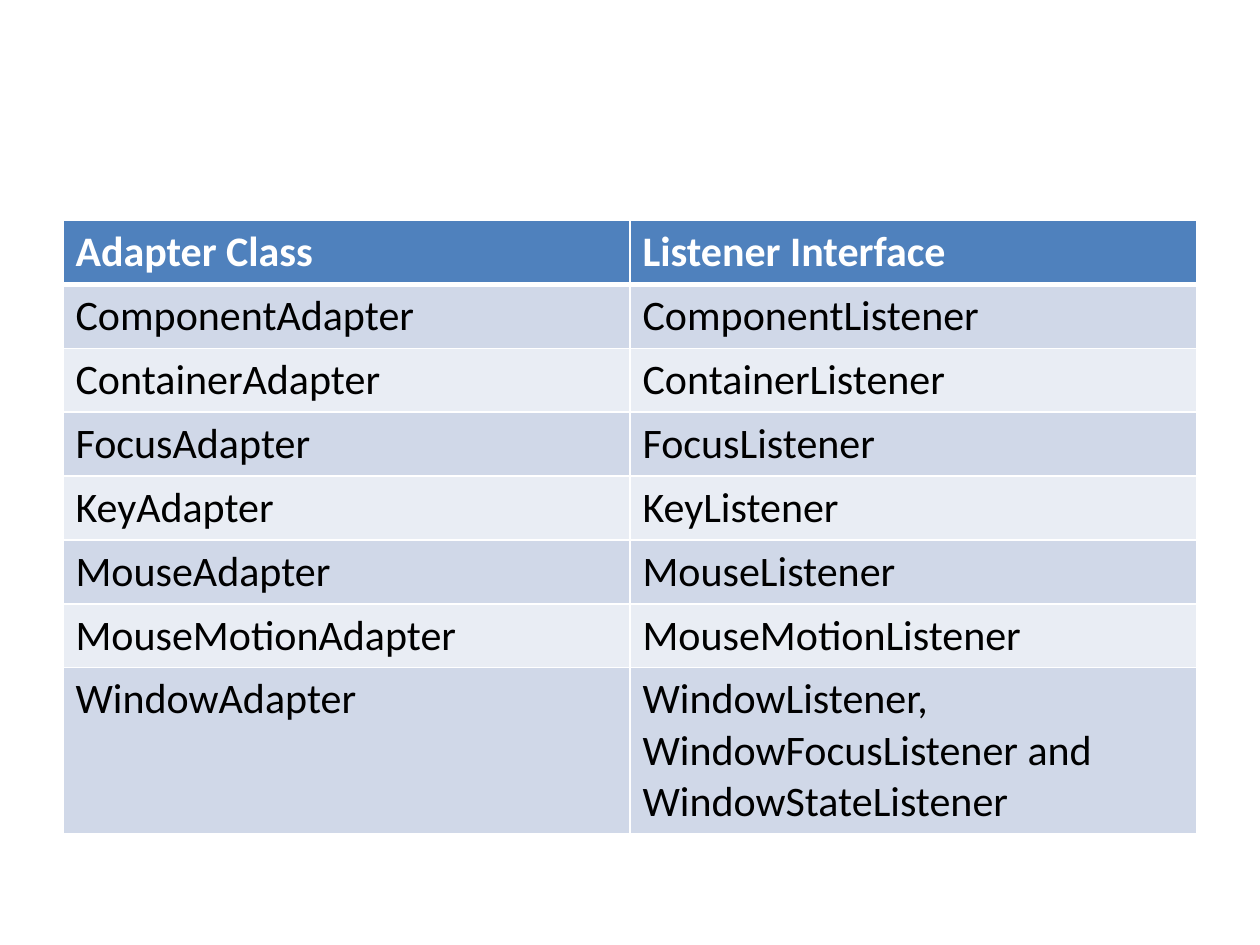
from lxml import etree
from pptx import Presentation
from pptx.dml.color import RGBColor
from pptx.oxml.ns import qn
from pptx.util import Inches, Pt

WHITE = RGBColor(0xFF, 0xFF, 0xFF)
BLACK = RGBColor(0x00, 0x00, 0x00)
HEADER_BLUE = RGBColor(0x4F, 0x81, 0xBD)
BANDS = [RGBColor(0xE9, 0xED, 0xF4), RGBColor(0xD0, 0xD8, 0xE8)]

ROWS = [
    ("Adapter Class", "Listener Interface"),
    ("ComponentAdapter", "ComponentListener"),
    ("ContainerAdapter", "ContainerListener"),
    ("FocusAdapter", "FocusListener"),
    ("KeyAdapter", "KeyListener"),
    ("MouseAdapter", "MouseListener"),
    ("MouseMotionAdapter", "MouseMotionListener"),
    ("WindowAdapter", "WindowListener, WindowFocusListener and WindowStateListener"),
]


def add_border(cell, side, width):
    """Draw a white line on one side (L, R, T or B); call before filling the cell."""
    ln = etree.SubElement(cell._tc.get_or_add_tcPr(), qn(f"a:ln{side}"), w=str(Pt(width)))
    fill = etree.SubElement(ln, qn("a:solidFill"))
    etree.SubElement(fill, qn("a:srgbClr"), val=str(WHITE))


prs = Presentation()
prs.slide_width, prs.slide_height = Inches(10), Inches(7.5)
s = prs.slides.add_slide(prs.slide_layouts[6])

table = s.shapes.add_table(len(ROWS), 2, Inches(0.5), Inches(1.75),
                           Inches(9), Inches(4.8)).table
for row in table.rows:
    row.height = Inches(0.5)
table.rows[len(ROWS) - 1].height = Inches(1.3)

for i, labels in enumerate(ROWS):
    header = i == 0
    for j, label in enumerate(labels):
        cell = table.cell(i, j)
        add_border(cell, "L", 1)
        add_border(cell, "R", 1)
        add_border(cell, "T", 3 if i == 1 else 1)
        add_border(cell, "B", 3 if header else 1)
        cell.fill.solid()
        cell.fill.fore_color.rgb = HEADER_BLUE if header else BANDS[i % 2]
        r = cell.text_frame.paragraphs[0].add_run()
        r.text = label
        r.font.name = "Calibri"
        r.font.size = Pt(24)
        r.font.bold = header
        r.font.color.rgb = WHITE if header else BLACK

prs.save("out.pptx")
